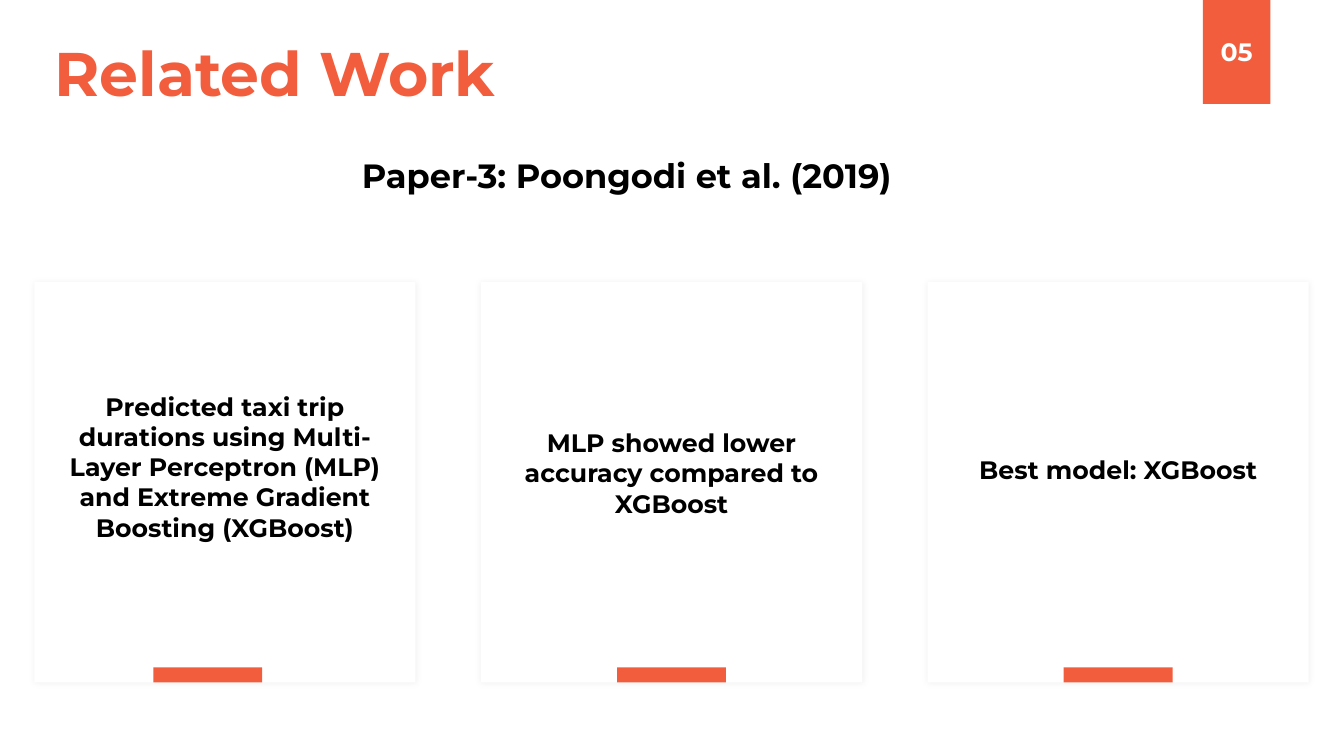
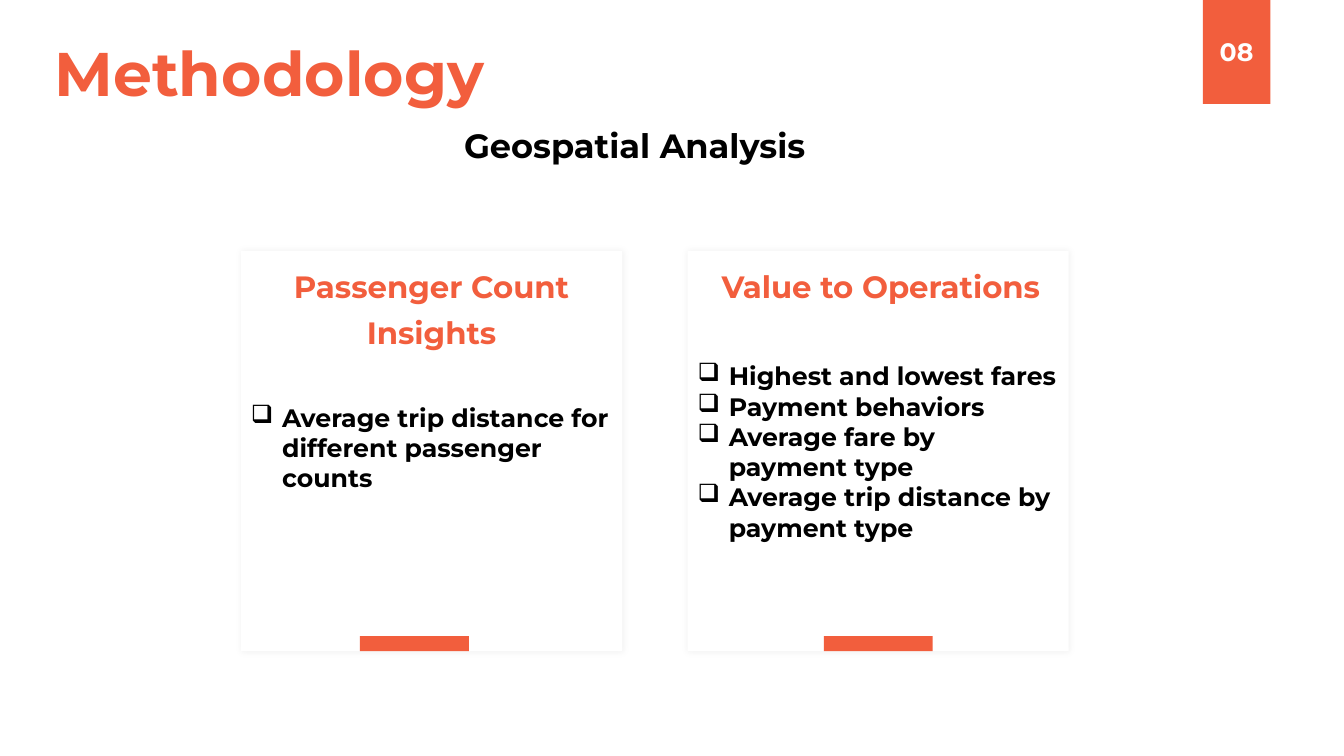
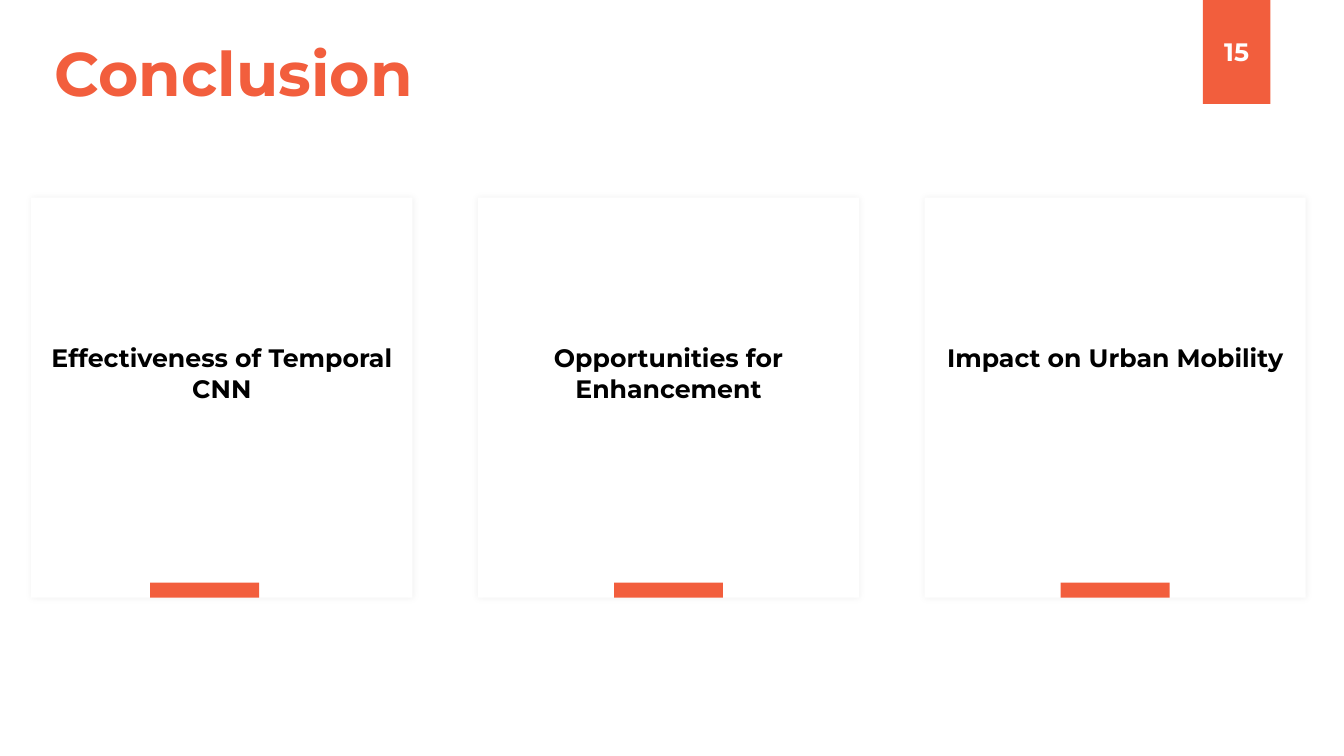
from dataclasses import dataclass

from lxml import etree
from pptx import Presentation
from pptx.dml.color import RGBColor
from pptx.enum.shapes import MSO_SHAPE
from pptx.enum.text import MSO_ANCHOR, MSO_AUTO_SIZE, PP_ALIGN
from pptx.oxml.ns import qn
from pptx.util import Pt

PX = 9144
FONT = "Montserrat"
ORANGE = RGBColor(0xF2, 0x5E, 0x3D)
WHITE = RGBColor(0xFF, 0xFF, 0xFF)
BLACK = RGBColor(0x00, 0x00, 0x00)
RECTANGLE = MSO_SHAPE.RECTANGLE
TOP, MIDDLE = MSO_ANCHOR.TOP, MSO_ANCHOR.MIDDLE
LEFT, CENTER = PP_ALIGN.LEFT, PP_ALIGN.CENTER
NO_AUTOFIT = MSO_AUTO_SIZE.NONE

SLIDE_W, SLIDE_H = 1333, 750
CARD_W, CARD_H, CARD_PITCH = 378, 397, 443
TAB_W, TAB_H = 108, 15
FIRST_TAB_INSET = 118
BULLET_INDENT = 31


@dataclass
class Card:
    """Text of one card, with offsets measured from the card's corner."""
    lines: tuple
    text_top: int
    bulleted: bool = False
    heading: tuple = ()
    heading_left: int = 0
    heading_width: int = CARD_W
    heading_align: PP_ALIGN = CENTER


def emu(*lengths):
    """Turn px lengths into EMU."""
    return [length * PX for length in lengths]


def add_bullet(paragraph):
    """Give a paragraph a hanging checkbox bullet."""
    properties = paragraph._p.get_or_add_pPr()
    properties.set("marL", str(BULLET_INDENT * PX))
    properties.set("indent", str(-BULLET_INDENT * PX))
    etree.SubElement(properties, qn("a:buChar")).set("char", "❑")


def write(frame, lines, size, color, align=LEFT, anchor=TOP, gap=0, bulleted=False):
    """Fill a text frame with one bold paragraph per line."""
    frame.word_wrap = True
    frame.auto_size = NO_AUTOFIT
    frame.vertical_anchor = anchor
    for index, line in enumerate(lines):
        paragraph = frame.add_paragraph() if index else frame.paragraphs[0]
        paragraph.alignment = align
        if index and gap:
            paragraph.space_before = Pt(gap)
        if bulleted:
            add_bullet(paragraph)
        run = paragraph.add_run()
        run.text = line
        run.font.name = FONT
        run.font.size = Pt(size)
        run.font.bold = True
        run.font.color.rgb = color


def add_text(slide, box, lines, size, color, **style):
    """Place a text box."""
    write(slide.shapes.add_textbox(*emu(*box)).text_frame, lines, size, color, **style)


def add_block(slide, box, color):
    """Place a plain filled rectangle."""
    block = slide.shapes.add_shape(RECTANGLE, *emu(*box))
    block.shadow.inherit = False
    block.fill.solid()
    block.fill.fore_color.rgb = color
    block.line.fill.background()
    return block


def add_glow(block):
    """Add a faint, even shadow around a block."""
    effects = block._element.spPr.find(qn("a:effectLst"))
    shadow = etree.SubElement(effects, qn("a:outerShdw"), blurRad=str(Pt(5)), dist="0",
                              algn="ctr", rotWithShape="0")
    black = etree.SubElement(shadow, qn("a:srgbClr"), val=str(BLACK))
    etree.SubElement(black, qn("a:alpha"), val="6000")


def add_header(slide, title, number):
    """Set the title and the page number flag."""
    heading = slide.shapes.title
    heading.left, heading.top, heading.width, heading.height = emu(44, 30, 1103, 84)
    write(heading.text_frame, [title], 44, ORANGE)
    flag = add_block(slide, (1193, -1, 67, 104), ORANGE)
    write(flag.text_frame, [number], 18, WHITE, align=CENTER, anchor=MIDDLE)


def add_card(slide, left, top, card, tab_inset):
    """Place one card with its tab, heading and text."""
    add_glow(add_block(slide, (left, top, CARD_W, CARD_H), WHITE))
    add_block(slide, (left + tab_inset, top + CARD_H - TAB_H, TAB_W, TAB_H), ORANGE)
    if card.heading:
        add_text(slide, (left + card.heading_left, top + 12, card.heading_width, 93),
                 card.heading, 22, ORANGE, align=card.heading_align, gap=6)
    add_text(slide, (left, top + card.text_top, CARD_W, 192), card.lines, 18, BLACK,
             align=LEFT if card.bulleted else CENTER, bulleted=card.bulleted)


def add_card_row(slide, left, top, cards):
    """Place cards side by side at an equal pitch."""
    for index, card in enumerate(cards):
        tab_inset = (CARD_W - TAB_W) // 2 if index else FIRST_TAB_INSET
        add_card(slide, left + index * CARD_PITCH, top, card, tab_inset)


def add_card_slide(deck, title, number, row_corner, cards, subtitle="", subtitle_corner=(0, 0)):
    """Build a slide with a header, an optional subtitle and a row of cards."""
    slide = deck.slides.add_slide(deck.slide_layouts[5])
    add_header(slide, title, number)
    if subtitle:
        add_text(slide, (*subtitle_corner, 1103, 50), [subtitle], 24, BLACK, align=CENTER)
    add_card_row(slide, *row_corner, cards)


def main():
    """Build and save the deck."""
    deck = Presentation()
    deck.slide_width, deck.slide_height = emu(SLIDE_W, SLIDE_H)
    add_card_slide(
        deck, "Related Work", "05", (34, 280),
        [Card(("Predicted taxi trip durations using Multi-Layer Perceptron (MLP) "
               "and Extreme Gradient Boosting (XGBoost)",), 103),
         Card(("MLP showed lower accuracy compared to XGBoost",), 139),
         Card(("Best model: XGBoost",), 166)],
        "Paper-3: Poongodi et al. (2019)", (70, 149))
    add_card_slide(
        deck, "Methodology", "08", (239, 249),
        [Card(("Average trip distance for different passenger counts",), 145, True,
              ("Passenger Count", "Insights"), -32, 442),
         Card(("Highest and lowest fares", "Payment behaviors",
               "Average fare by payment type", "Average trip distance by payment type"),
              104, True, ("Value to Operations",), 24, 354, LEFT)],
        "Geospatial Analysis", (78, 119))
    add_card_slide(
        deck, "Conclusion", "15", (31, 196),
        [Card((topic,), 139) for topic in (
            "Effectiveness of Temporal CNN", "Opportunities for Enhancement",
            "Impact on Urban Mobility")])
    deck.save("out.pptx")


if __name__ == "__main__":
    main()
